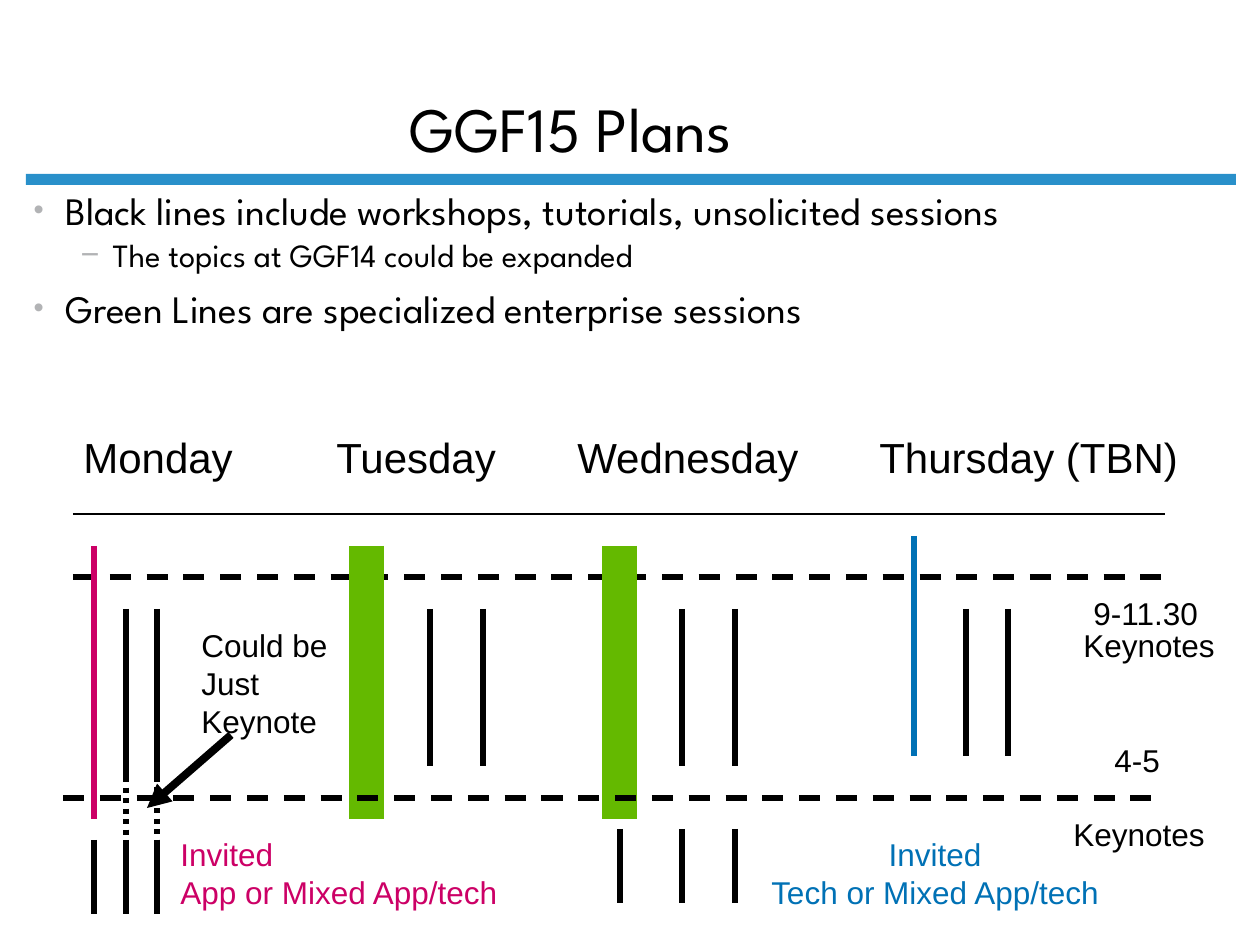
"""Build the GGF15 Plans slide: session notes above a four-day timetable."""
from lxml import etree
from pptx import Presentation
from pptx import util as u
from pptx.dml.color import RGBColor
from pptx.enum import dml, shapes, text
from pptx.oxml.ns import qn

SCALE = 914400 / 126
BLACK = RGBColor(0x00, 0x00, 0x00)
BLUE_BAR = RGBColor(0x29, 0x90, 0xCA)
PINK = RGBColor(0xCC, 0x00, 0x66)
BLUE = RGBColor(0x00, 0x71, 0xB5)
GREEN = RGBColor(0x64, 0xB9, 0x00)
HEADING_FONT, LABEL_FONT = "League Spartan", "Arial"
DASH, DOT = dml.MSO_LINE.DASH, dml.MSO_LINE.ROUND_DOT
LEFT, CENTER = text.PP_ALIGN.LEFT, text.PP_ALIGN.CENTER

TITLE = "GGF15 Plans"
NOTES = [
    (0, "Black lines include workshops, tutorials, unsolicited sessions"),
    (1, "The topics at GGF14 could be expanded"),
    (0, "Green Lines are specialized enterprise sessions"),
]
LEVELS = [
    dict(size=22.2, before=9, after=3, margin=32, bullet="•", bullet_size=75),
    dict(size=18.5, before=2.5, after=2.5, margin=79, bullet="−", bullet_size=100),
]
DAYS = ["Monday", "Tuesday", "Wednesday", "Thursday (TBN)"]
DAY_TABS = [253, 494, 796]
LABELS = [
    (["Invited\nApp or Mixed App/tech"], (168, 829, 346, 88), PINK, LEFT),
    (["Invited\nTech or Mixed App/tech"], (755, 829, 360, 88), BLUE, CENTER),
    (["9-11.30"], (1081, 588, 136, 50), BLACK, LEFT),
    (["4-5"], (1102, 735, 76, 50), BLACK, LEFT),
    (["Keynotes"], (1071, 620, 164, 50), BLACK, LEFT),
    (["Keynotes"], (1061, 809, 164, 50), BLACK, LEFT),
    (["Could be", "Just", "Keynote"], (189, 620, 156, 120), BLACK, LEFT),
]
RULES = [
    (73, 1165, 514, 0.75, None),
    (73, 1165, 577, 3, DASH),
    (63, 1155, 798, 3, DASH),
]
SESSIONS = [
    ([94], 546, 819, PINK, 3, None),
    ([914], 536, 756, BLUE, 3, None),
    ([126, 157], 609, 777, BLACK, 3, None),
    ([430, 483, 682, 735], 609, 766, BLACK, 3, None),
    ([966, 1008], 609, 756, BLACK, 3, None),
    ([94, 126, 157], 840, 914, BLACK, 3, None),
    ([620, 682, 735], 829, 903, BLACK, 3, None),
    ([126], 777, 850, BLACK, 3, DOT),
    ([157], 766, 840, BLACK, 3, DOT),
]
ENTERPRISE = ([367, 620], 546, 819, GREEN, 20, None)


def px(length):
    return u.Emu(round(length * SCALE))


def place(shape, left, top, width, height):
    shape.left, shape.top = px(left), px(top)
    shape.width, shape.height = px(width), px(height)


def write(para, words, *, size, font=LABEL_FONT, color=BLACK, align=LEFT):
    para.alignment = align
    for index, line in enumerate(words.split("\n")):
        if index:
            para.add_line_break()
        span = para.add_run()
        span.text = line
        span.font.size, span.font.name = u.Pt(size), font
        span.font.color.rgb = color


def add_paragraph(frame, index):
    return frame.add_paragraph() if index else frame.paragraphs[0]


def add_bullet(para, level):
    props = para._p.get_or_add_pPr()
    props.set("marL", str(px(level["margin"])))
    props.set("indent", str(-px(32)))
    tint = etree.SubElement(props, qn("a:buClr"))
    etree.SubElement(tint, qn("a:srgbClr"), val="B2B3B5")
    etree.SubElement(props, qn("a:buSzPct"), val=str(level["bullet_size"] * 1000))
    etree.SubElement(props, qn("a:buChar"), char=level["bullet"])


def add_line(page, start, end, color, weight, dash=None, arrow=False):
    line = page.shapes.add_connector(
        shapes.MSO_CONNECTOR.STRAIGHT, *map(px, start + end))
    line.line.color.rgb, line.line.width = color, u.Pt(weight)
    if dash:
        line.line.dash_style = dash
    if arrow:
        etree.SubElement(line.line._get_or_add_ln(), qn("a:tailEnd"), type="triangle")
    etree.SubElement(line._element.spPr, qn("a:effectLst"))


def add_sessions(page, columns, top, bottom, color, weight, dash):
    for x in columns:
        add_line(page, (x, top), (x, bottom), color, weight, dash)


def add_label(page, lines, area, **style):
    box = page.shapes.add_textbox(*map(px, area))
    box.text_frame.word_wrap = True
    for index, words in enumerate(lines):
        write(add_paragraph(box.text_frame, index), words, **style)
    return box


def add_heading(page):
    bar = page.shapes.add_shape(
        shapes.MSO_SHAPE.RECTANGLE, *map(px, (26, 174, 1210, 11)))
    bar.shadow.inherit = False
    bar.fill.solid()
    bar.fill.fore_color.rgb = BLUE_BAR
    bar.line.fill.background()
    title = page.shapes.title
    place(title, 31, 15, 1079, 158)
    title.text_frame.vertical_anchor = text.MSO_ANCHOR.BOTTOM
    title.text_frame.auto_size = text.MSO_AUTO_SIZE.NONE
    para = title.text_frame.paragraphs[0]
    para.line_spacing = 0.9
    write(para, TITLE, size=36, font=HEADING_FONT, align=CENTER)


def add_notes(page):
    body = page.placeholders[1]
    place(body, 21, 189, 1239, 189)
    body.text_frame.auto_size = text.MSO_AUTO_SIZE.NONE
    for index, (depth, words) in enumerate(NOTES):
        level = LEVELS[depth]
        para = add_paragraph(body.text_frame, index)
        para.level, para.line_spacing = depth, 0.8
        para.space_before = u.Pt(level["before"] if index else 0)
        para.space_after = u.Pt(level["after"])
        add_bullet(para, level)
        write(para, words, size=level["size"], font=HEADING_FONT)


def add_timetable(page):
    days = add_label(page, ["\t".join(DAYS)], (71, 425, 1124, 63), size=24)
    props = days.text_frame.paragraphs[0]._p.get_or_add_pPr()
    stops = etree.SubElement(props, qn("a:tabLst"))
    for stop in DAY_TABS:
        etree.SubElement(stops, qn("a:tab"), pos=str(px(stop)), algn="l")
    for index, (left, right, y, weight, dash) in enumerate(RULES):
        if index == 2:
            add_sessions(page, *ENTERPRISE)
        add_line(page, (left, y), (right, y), BLACK, weight, dash)
    for session in SESSIONS:
        add_sessions(page, *session)
    add_line(page, (231, 735), (147, 808), BLACK, 4.5, arrow=True)
    for lines, area, color, align in LABELS:
        add_label(page, lines, area, size=18, color=color, align=align)


def main():
    deck = Presentation()
    deck.slide_width, deck.slide_height = px(1260), px(945)
    page = deck.slides.add_slide(deck.slide_layouts[1])
    add_heading(page)
    add_notes(page)
    add_timetable(page)
    deck.save("out.pptx")


if __name__ == "__main__":
    main()
